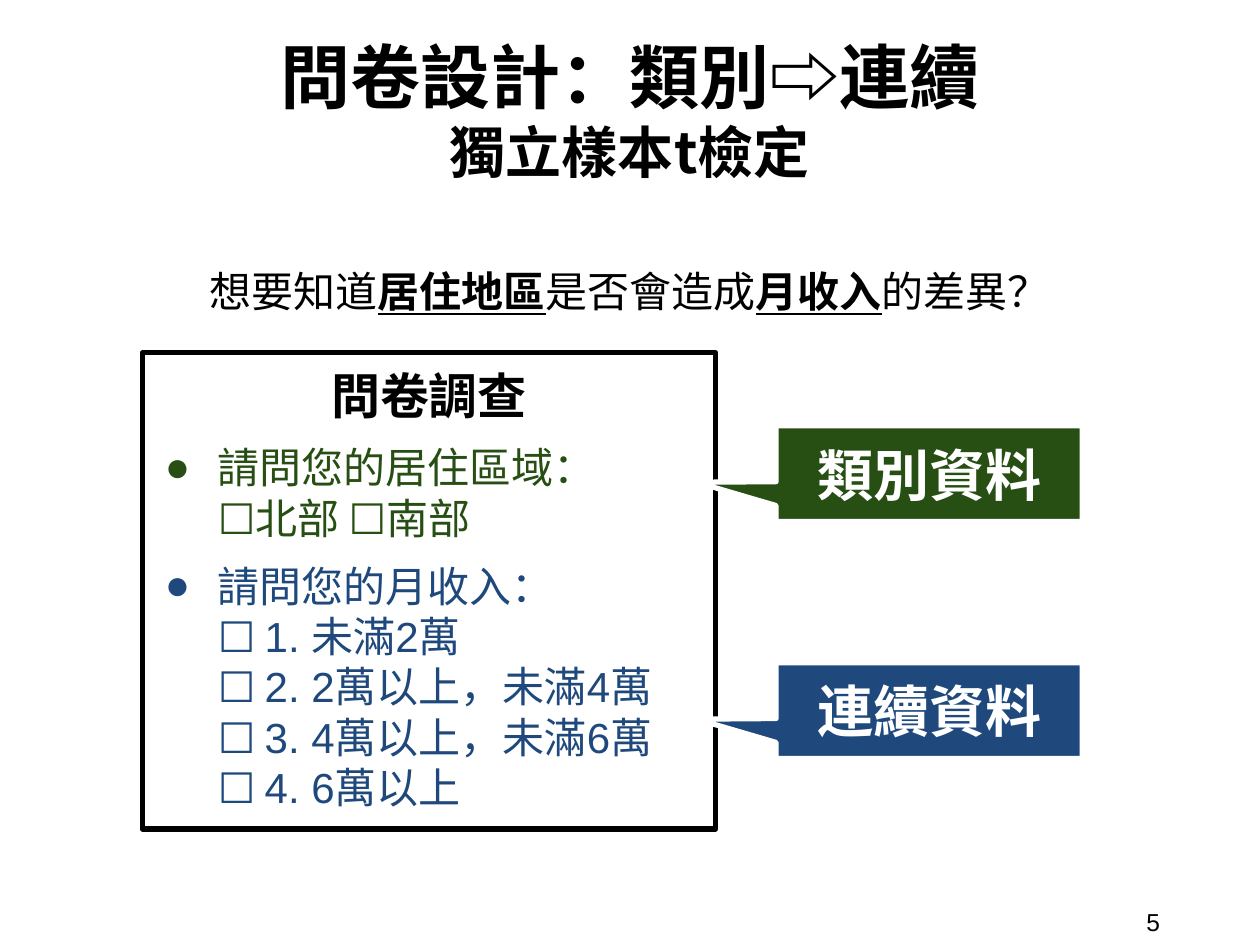
from lxml.etree import SubElement
from pptx import Presentation
from pptx.dml.color import RGBColor
from pptx.enum.shapes import MSO_SHAPE as Shape
from pptx.enum.text import MSO_ANCHOR as Anchor, PP_ALIGN as Align
from pptx.oxml.ns import qn
from pptx.util import Inches, Pt

BLACK, WHITE, GREEN, BLUE = "000000", "FFFFFF", "274E13", "1F497D"
LATIN, CJK = "Arial", "Noto Sans CJK TC"

TITLE = [("問卷設計：類別⇨連續", 40), ("獨立樣本t檢定", 32)]
RESEARCH_QUESTION = [
    ("想要知道", False), ("居住地區", True), ("是否會造成", False),
    ("月收入", True), ("的差異？", False),
]
SURVEY_TITLE = "問卷調查"
SURVEY_ITEMS = [
    (GREEN, ["請問您的居住區域：", "☐北部 ☐南部"]),
    (BLUE, ["請問您的月收入：", "☐ 1. 未滿2萬", "☐ 2. 2萬以上，未滿4萬",
            "☐ 3. 4萬以上，未滿6萬", "☐ 4. 6萬以上"]),
]
DATA_TYPES = [("類別資料", GREEN), ("連續資料", BLUE)]
PAGE_NUMBER = "5"


def rgb(value):
    """Turn a hex string into a colour."""
    return RGBColor.from_string(value)


def add_run(paragraph, text, size, color=BLACK, bold=False, underline=False, face=LATIN):
    """Add one formatted run with Latin and East Asian typefaces."""
    run = paragraph.add_run()
    run.text = text
    font = run.font
    font.size, font.bold, font.underline, font.name = Pt(size), bold, underline, face
    font.color.rgb = rgb(color)
    SubElement(font._element, qn("a:ea"), typeface=CJK)


def set_frame(shape, anchor=Anchor.TOP, inset=0.1):
    """Set wrapping, anchor and margins, and return the text frame."""
    frame = shape.text_frame
    frame.word_wrap, frame.vertical_anchor = True, anchor
    frame.margin_left = frame.margin_right = Inches(0.1)
    frame.margin_top = frame.margin_bottom = Inches(inset)
    return frame


def add_text(slide, box, anchor=Anchor.TOP, inset=0.1):
    """Add a wrapping text box and return its frame."""
    return set_frame(slide.shapes.add_textbox(*map(Inches, box)), anchor, inset)


def add_panel(slide, kind, box, fill, line):
    """Add a filled, outlined shape without a shadow."""
    panel = slide.shapes.add_shape(kind, *map(Inches, box))
    panel.shadow.inherit = False
    panel.fill.solid()
    panel.fill.fore_color.rgb = rgb(fill)
    panel.line.color.rgb = rgb(line)
    panel.line.width = Pt(3)
    return panel


def add_bullet(paragraph, color):
    """Give a paragraph a coloured round bullet with a hanging indent."""
    properties = paragraph._p.get_or_add_pPr()
    properties.set("marL", str(Inches(0.5)))
    properties.set("indent", str(Inches(-0.42)))
    bullet_color = SubElement(properties, qn("a:buClr"))
    SubElement(bullet_color, qn("a:srgbClr"), val=color)
    SubElement(properties, qn("a:buFont"), typeface=LATIN)
    SubElement(properties, qn("a:buChar"), char="●")


def add_survey(slide):
    """Add the questionnaire box with its heading and questions."""
    survey = add_panel(slide, Shape.RECTANGLE, (1.13, 2.8, 4.55, 3.78), WHITE, BLACK)
    frame = set_frame(survey)
    heading = frame.paragraphs[0]
    heading.alignment, heading.space_after = Align.CENTER, Pt(10)
    add_run(heading, SURVEY_TITLE, 28, bold=True)
    for index, (color, lines) in enumerate(SURVEY_ITEMS):
        question = frame.add_paragraph()
        question.alignment, question.space_before = Align.LEFT, Pt(10 * index)
        add_bullet(question, color)
        for number, line in enumerate(lines):
            if number:
                question.add_line_break()
            add_run(question, line, 24, color)


def add_data_types(slide):
    """Add one callout per data type, pointing at its question."""
    for index, (label, color) in enumerate(DATA_TYPES):
        box = (6.16, 3.38 + 1.88 * index, 2.43, 0.76)
        callout = add_panel(slide, Shape.ROUNDED_RECTANGULAR_CALLOUT, box, color, WHITE)
        for position, value in enumerate((-0.76, 0.09, 0)):
            callout.adjustments[position] = value
        paragraph = set_frame(callout, Anchor.MIDDLE).paragraphs[0]
        paragraph.alignment = Align.CENTER
        add_run(paragraph, label, 32, WHITE, bold=True)


def main():
    """Build and save the slide."""
    deck = Presentation()
    deck.slide_width, deck.slide_height = Inches(10), Inches(7.5)
    slide = deck.slides.add_slide(deck.slide_layouts[6])

    add_survey(slide)
    page = add_text(slide, (9, 7.17, 0.92, 0.29), Anchor.MIDDLE, 0.05)
    add_run(page.paragraphs[0], PAGE_NUMBER, 14)

    title = add_text(slide, (0.52, 0.19, 8.96, 1.36), Anchor.MIDDLE)
    for index, (line, size) in enumerate(TITLE):
        paragraph = title.add_paragraph() if index else title.paragraphs[0]
        paragraph.alignment = Align.CENTER
        add_run(paragraph, line, size, bold=True, face=CJK)

    add_data_types(slide)

    question = add_text(slide, (0.52, 1.95, 8.96, 0.85)).paragraphs[0]
    question.alignment, question.line_spacing = Align.CENTER, 1.15
    for text, stressed in RESEARCH_QUESTION:
        add_run(question, text, 24, bold=stressed, underline=stressed, face=CJK)

    deck.save("out.pptx")


if __name__ == "__main__":
    main()
